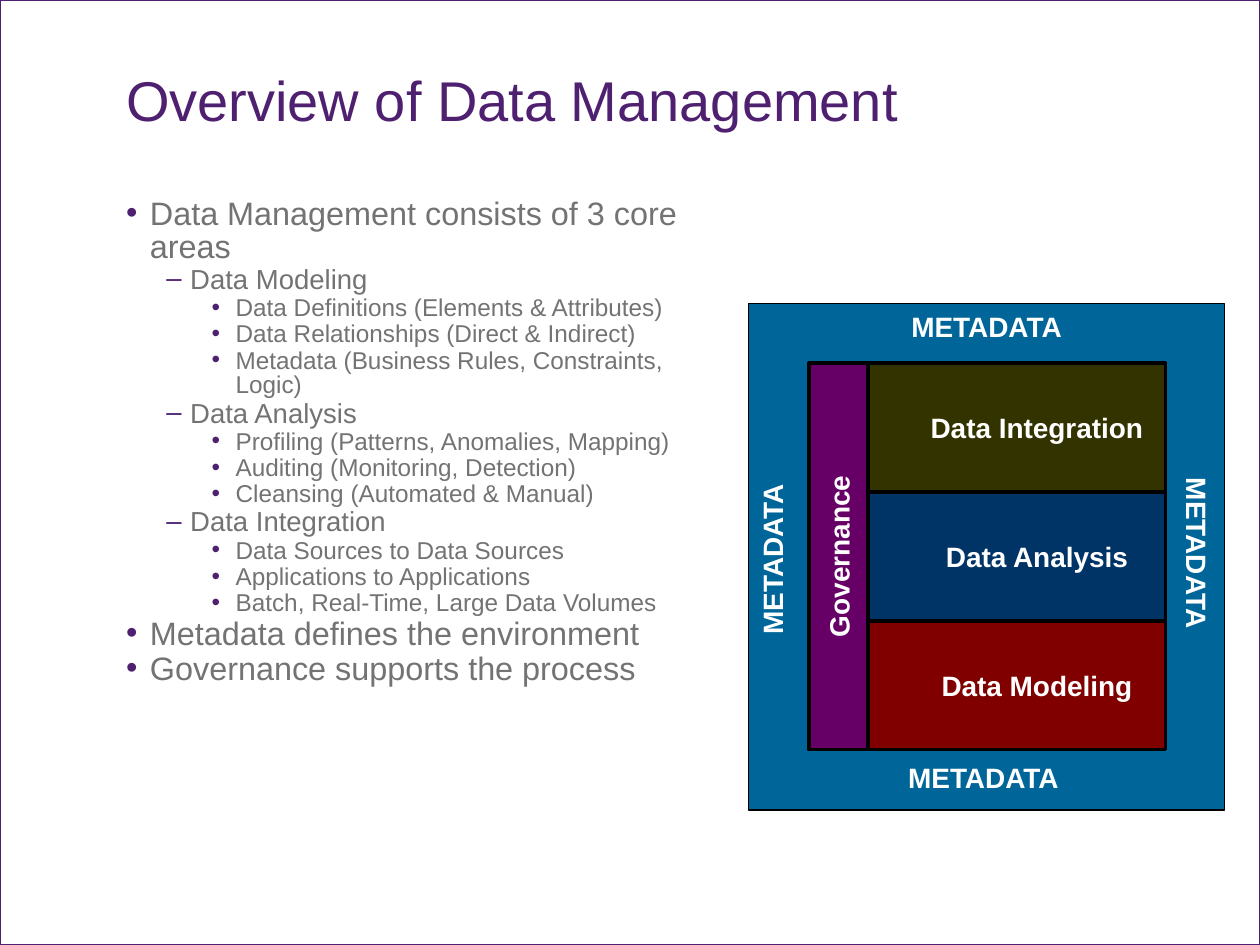
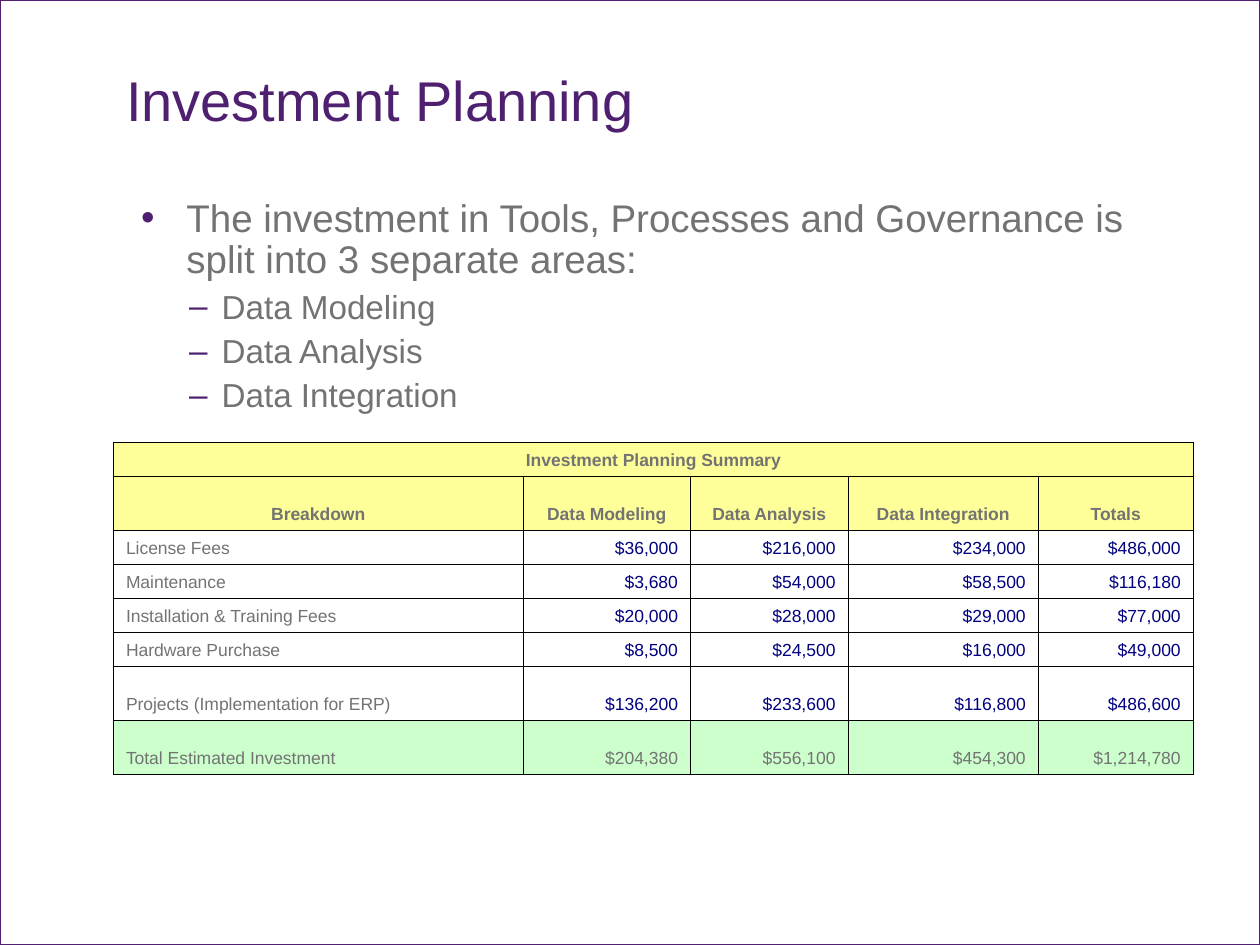
from dataclasses import dataclass
from typing import Any, NamedTuple, Optional

from lxml.etree import SubElement
from pptx import Presentation
from pptx.dml.color import RGBColor
from pptx.enum.shapes import MSO_SHAPE
from pptx.enum.text import MSO_ANCHOR, MSO_AUTO_SIZE, PP_ALIGN
from pptx.oxml.ns import qn
from pptx.util import Inches, Pt

FONT = "Arial"
PURPLE = RGBColor(0x4F, 0x20, 0x70)
GRAY = RGBColor(0x73, 0x73, 0x73)
WHITE = RGBColor(0xFF, 0xFF, 0xFF)
BLACK = RGBColor(0x00, 0x00, 0x00)
METADATA_BLUE = RGBColor(0x00, 0x66, 0x99)
INTEGRATION_OLIVE = RGBColor(0x33, 0x33, 0x00)
ANALYSIS_NAVY = RGBColor(0x00, 0x33, 0x66)
MODELING_RED = RGBColor(0x80, 0x00, 0x00)
GOVERNANCE_PURPLE = RGBColor(0x66, 0x00, 0x66)
AMOUNT_NAVY = RGBColor(0x00, 0x00, 0x80)
HEADING_YELLOW = RGBColor(0xFF, 0xFF, 0x99)
TOTAL_GREEN = RGBColor(0xCC, 0xFF, 0xCC)

NO_MARGINS = dict.fromkeys(("margin_left", "margin_top", "margin_right", "margin_bottom"), 0)
PLACEHOLDER_FRAME = {
    **NO_MARGINS,
    "word_wrap": True,
    "auto_size": MSO_AUTO_SIZE.NONE,
    "vertical_anchor": MSO_ANCHOR.TOP,
}
TITLE_FONT = {"name": FONT, "size": Pt(32)}
DIAGRAM_FONT = {"name": FONT, "size": Pt(16), "bold": True}


class Box(NamedTuple):
    left: float
    top: float
    width: float
    height: float


class Level(NamedTuple):
    size: float
    bullet: str
    margin: float
    hanging: float
    space_before: float


class Item(NamedTuple):
    level: int
    text: str


@dataclass
class Block:
    text: str
    box: Box
    fill: RGBColor
    line_width: float = 2
    rotation: int = 0
    anchor: MSO_ANCHOR = MSO_ANCHOR.MIDDLE
    indented: bool = False


@dataclass
class RowStyle:
    height: float
    label_align: PP_ALIGN = PP_ALIGN.LEFT
    amount_align: PP_ALIGN = PP_ALIGN.RIGHT
    amount_color: RGBColor = AMOUNT_NAVY
    fill: Optional[RGBColor] = None
    bold: bool = False


TITLE_BOX = Box(1, 0.58, 8.33, 0.67)

OVERVIEW_BOX = Box(1, 1.58, 4.39, 5.08)
OVERVIEW_LEVELS = (
    Level(18.5, "•", 0.19, 0.19, 1.2),
    Level(15.7, "–", 0.51, 0.19, 1),
    Level(13.9, "•", 0.87, 0.19, 0.9),
)
OVERVIEW_ITEMS = (
    Item(0, "Data Management consists of 3 core areas"),
    Item(1, "Data Modeling"),
    Item(2, "Data Definitions (Elements & Attributes)"),
    Item(2, "Data Relationships (Direct & Indirect)"),
    Item(2, "Metadata (Business Rules, Constraints, Logic)"),
    Item(1, "Data Analysis"),
    Item(2, "Profiling (Patterns, Anomalies, Mapping)"),
    Item(2, "Auditing (Monitoring, Detection)"),
    Item(2, "Cleansing (Automated & Manual)"),
    Item(1, "Data Integration"),
    Item(2, "Data Sources to Data Sources"),
    Item(2, "Applications to Applications"),
    Item(2, "Batch, Real-Time, Large Data Volumes"),
    Item(0, "Metadata defines the environment"),
    Item(0, "Governance supports the process"),
)

METADATA_BLOCK = Block(
    "METADATA", Box(5.94, 2.41, 3.78, 4.02), METADATA_BLUE, 0.75, anchor=MSO_ANCHOR.TOP
)
GOVERNANCE_BLOCK = Block(
    "Governance", Box(5.12, 4.18, 3.07, 0.47), GOVERNANCE_PURPLE, rotation=270
)
AREAS = (
    ("Data Integration", INTEGRATION_OLIVE),
    ("Data Analysis", ANALYSIS_NAVY),
    ("Data Modeling", MODELING_RED),
)
AREAS_BOX = Box(6.89, 2.88, 2.36, 3.07)
METADATA_LABELS = ((7.11, 5.99, 0), (5.41, 4.23, 270), (8.78, 4.23, 90))
METADATA_LABEL_SIZE = (1.44, 0.37)

INVESTMENT_BOX = Box(1, 1.58, 8.33, 1.77)
INVESTMENT_LEVELS = (
    Level(22, "•", 0.48, 0.36, 5.5),
    Level(19, "–", 0.76, 0.26, 4.8),
)
INVESTMENT_ITEMS = (
    Item(0, "The investment in Tools, Processes and Governance is split into 3 separate areas:"),
    Item(1, "Data Modeling"),
    Item(1, "Data Analysis"),
    Item(1, "Data Integration"),
)

SUMMARY_BOX = Box(0.9, 3.51, 8.57, 2.64)
SUMMARY_WIDTHS = (3.25, 1.33, 1.25, 1.51, 1.23)
CAPTION = RowStyle(0.27, PP_ALIGN.CENTER, PP_ALIGN.CENTER, GRAY, HEADING_YELLOW, True)
HEADING = RowStyle(0.43, PP_ALIGN.CENTER, PP_ALIGN.CENTER, GRAY, HEADING_YELLOW, True)
COST = RowStyle(0.27)
PROJECT_COST = RowStyle(0.43)
TOTAL = RowStyle(0.43, amount_color=GRAY, fill=TOTAL_GREEN)
SUMMARY_ROWS = (
    (CAPTION, ("Investment Planning Summary",)),
    (HEADING, ("Breakdown", "Data Modeling", "Data Analysis", "Data Integration", "Totals")),
    (COST, ("License Fees", "$36,000", "$216,000", "$234,000", "$486,000")),
    (COST, ("Maintenance", "$3,680", "$54,000", "$58,500", "$116,180")),
    (COST, ("Installation & Training Fees", "$20,000", "$28,000", "$29,000", "$77,000")),
    (COST, ("Hardware Purchase", "$8,500", "$24,500", "$16,000", "$49,000")),
    (PROJECT_COST, ("Projects (Implementation for ERP)", "$136,200", "$233,600", "$116,800", "$486,600")),
    (TOTAL, ("Total Estimated Investment", "$204,380", "$556,100", "$454,300", "$1,214,780")),
)


def apply(target: Any, values: dict) -> None:
    for attribute, value in values.items():
        setattr(target, attribute, value)


def inches(box: Box) -> tuple:
    return tuple(Inches(length) for length in box)


def write(paragraph, text: str, font: dict, color: RGBColor) -> None:
    run = paragraph.add_run()
    run.text = text
    apply(run.font, font)
    run.font.color.rgb = color


def set_indent(paragraph, margin: float, hanging: float) -> Any:
    properties = paragraph._p.get_or_add_pPr()
    properties.set("marL", str(Inches(margin)))
    properties.set("indent", str(-Inches(hanging)))
    return properties


def add_bullet(paragraph, level: Level) -> None:
    properties = set_indent(paragraph, level.margin, level.hanging)
    color = SubElement(properties, qn("a:buClr"))
    SubElement(color, qn("a:srgbClr"), val=str(PURPLE))
    SubElement(properties, qn("a:buFont"), typeface=FONT)
    SubElement(properties, qn("a:buChar"), char=level.bullet)


def place(placeholder, box: Box) -> Any:
    apply(placeholder, dict(zip(Box._fields, inches(box))))
    apply(placeholder.text_frame, PLACEHOLDER_FRAME)
    return placeholder.text_frame


def add_content_slide(prs, title: str, box: Box, items: tuple, levels: tuple, spacing: float) -> Any:
    slide = prs.slides.add_slide(prs.slide_layouts[1])
    heading = place(slide.shapes.title, TITLE_BOX).paragraphs[0]
    apply(heading, {"alignment": PP_ALIGN.LEFT, "line_spacing": 0.9})
    write(heading, title, TITLE_FONT, PURPLE)

    body = place(slide.placeholders[1], box)
    for index, item in enumerate(items):
        level = levels[item.level]
        paragraph = body.add_paragraph() if index else body.paragraphs[0]
        apply(paragraph, {
            "level": item.level,
            "line_spacing": spacing,
            "space_before": Pt(level.space_before if index else 0),
        })
        add_bullet(paragraph, level)
        write(paragraph, item.text, {"name": FONT, "size": Pt(level.size)}, GRAY)
    return slide


def add_block(slide, block: Block) -> None:
    shape = slide.shapes.add_shape(MSO_SHAPE.RECTANGLE, *inches(block.box))
    shape.rotation = block.rotation
    shape.shadow.inherit = False
    shape.fill.solid()
    shape.fill.fore_color.rgb = block.fill
    shape.line.color.rgb = BLACK
    shape.line.width = Pt(block.line_width)
    apply(shape.text_frame, {"word_wrap": False, "vertical_anchor": block.anchor})
    paragraph = shape.text_frame.paragraphs[0]
    paragraph.alignment = PP_ALIGN.CENTER
    if block.indented:
        paragraph.level = 1
        set_indent(paragraph, 0.5, 0.18)
    write(paragraph, block.text, DIAGRAM_FONT, WHITE)


def add_data_management_diagram(slide) -> None:
    add_block(slide, METADATA_BLOCK)
    height = AREAS_BOX.height / len(AREAS)
    for index, (area, fill) in reversed(list(enumerate(AREAS))):
        box = AREAS_BOX._replace(top=AREAS_BOX.top + index * height, height=height)
        add_block(slide, Block(area, box, fill, indented=True))
    add_block(slide, GOVERNANCE_BLOCK)
    for left, top, rotation in METADATA_LABELS:
        label = slide.shapes.add_textbox(*inches(Box(left, top, *METADATA_LABEL_SIZE)))
        label.rotation = rotation
        apply(label.text_frame, {"word_wrap": False, "auto_size": MSO_AUTO_SIZE.SHAPE_TO_FIT_TEXT})
        write(label.text_frame.paragraphs[0], METADATA_BLOCK.text, DIAGRAM_FONT, WHITE)


def format_cell(cell, fill: Optional[RGBColor]) -> None:
    properties = cell._tc.get_or_add_tcPr()
    for side in ("a:lnL", "a:lnR", "a:lnT", "a:lnB"):
        edge = SubElement(properties, qn(side), w=str(Pt(0.45)))
        SubElement(SubElement(edge, qn("a:solidFill")), qn("a:srgbClr"), val=str(BLACK))
    cell.vertical_anchor = MSO_ANCHOR.BOTTOM
    if fill is None:
        cell.fill.background()
    else:
        cell.fill.solid()
        cell.fill.fore_color.rgb = fill


def add_investment_summary(slide) -> None:
    summary = slide.shapes.add_table(
        len(SUMMARY_ROWS), len(SUMMARY_WIDTHS), *inches(SUMMARY_BOX)
    ).table
    apply(summary, {"first_row": False, "horz_banding": False})
    for column, width in zip(summary.columns, SUMMARY_WIDTHS):
        column.width = Inches(width)
    for row, (style, texts) in zip(summary.rows, SUMMARY_ROWS):
        row.height = Inches(style.height)
        for cell in row.cells:
            format_cell(cell, style.fill)
        for index, (cell, text) in enumerate(zip(row.cells, texts)):
            paragraph = cell.text_frame.paragraphs[0]
            paragraph.alignment = style.amount_align if index else style.label_align
            font = {"name": FONT, "size": Pt(10), "bold": style.bold}
            write(paragraph, text, font, style.amount_color if index else GRAY)
    summary.cell(0, 0).merge(summary.cell(0, len(SUMMARY_WIDTHS) - 1))


def move_border_to_master(prs, slide) -> None:
    border = slide.shapes.add_shape(MSO_SHAPE.RECTANGLE, 0, 0, prs.slide_width, prs.slide_height)
    border.shadow.inherit = False
    border.fill.background()
    border.line.color.rgb = PURPLE
    border.line.width = Pt(0.75)
    border.element.nvSpPr.cNvPr.set("id", "20")
    prs.slide_master.shapes.element.insert(2, border.element)


def main() -> None:
    prs = Presentation()
    prs.slide_width, prs.slide_height = Inches(10), Inches(7.5)
    overview = add_content_slide(
        prs, "Overview of Data Management", OVERVIEW_BOX, OVERVIEW_ITEMS, OVERVIEW_LEVELS, 0.85
    )
    move_border_to_master(prs, overview)
    add_data_management_diagram(overview)
    investment = add_content_slide(
        prs, "Investment Planning", INVESTMENT_BOX, INVESTMENT_ITEMS, INVESTMENT_LEVELS, 0.9
    )
    add_investment_summary(investment)
    prs.save("out.pptx")


if __name__ == "__main__":
    main()
